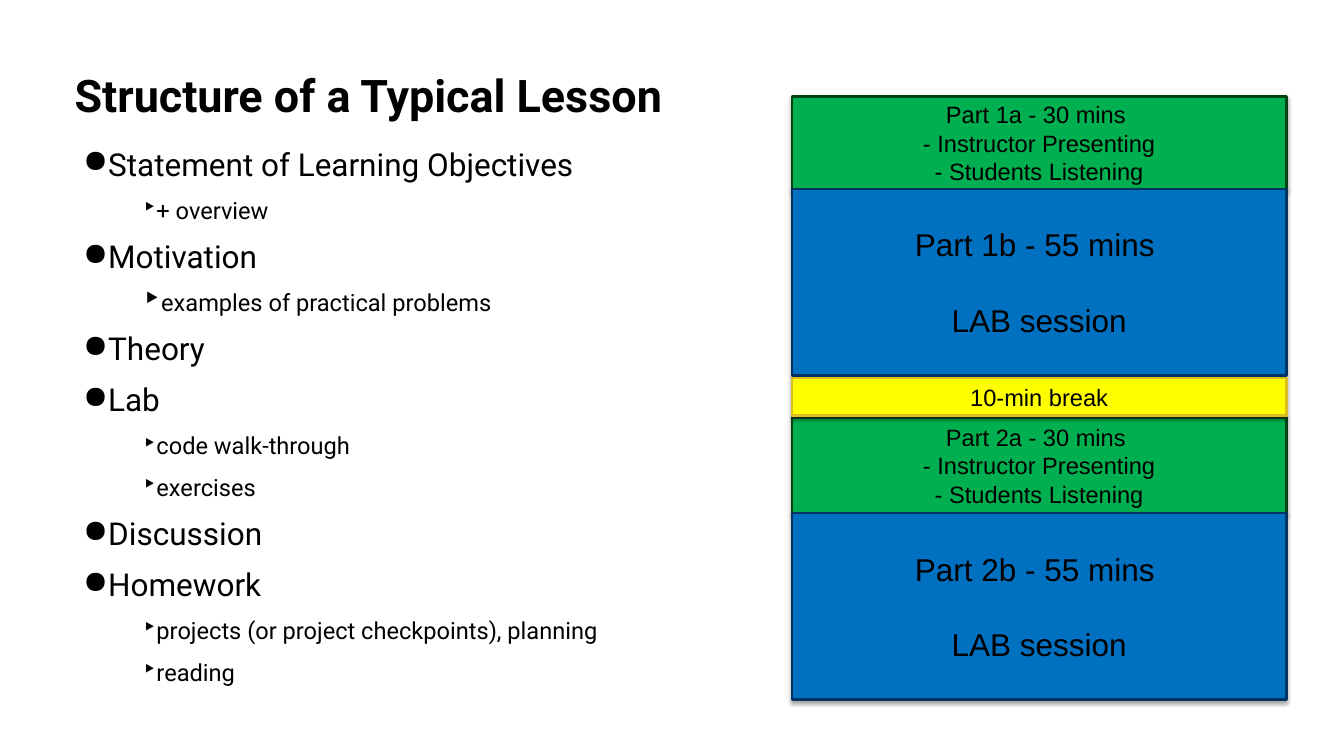
"""Build a slide that outlines a typical lesson beside its timetable."""
import lxml.etree
import pptx
import pptx.dml.color
import pptx.enum.shapes
import pptx.enum.text
import pptx.oxml
import pptx.oxml.ns
import pptx.util

Pt = pptx.util.Pt
RGBColor = pptx.dml.color.RGBColor
ALIGN = pptx.enum.text.PP_ALIGN
ANCHOR = pptx.enum.text.MSO_ANCHOR
qn = pptx.oxml.ns.qn

BLACK = RGBColor(0x00, 0x00, 0x00)
GREEN = RGBColor(0x00, 0xB0, 0x50)
DARK_GREEN = RGBColor(0x00, 0x44, 0x16)
BLUE = RGBColor(0x00, 0x70, 0xC0)
DARK_BLUE = RGBColor(0x01, 0x32, 0x60)
YELLOW = RGBColor(0xFF, 0xFF, 0x00)
DARK_YELLOW = RGBColor(0xDC, 0xBD, 0x23)

BLOCK_LEFT, BLOCK_WIDTH = 603.4, 376.6
LAB_HEIGHT = 142
SHADOW = (
    f'<a:effectLst {pptx.oxml.ns.nsdecls("a")}>'
    '<a:outerShdw blurRad="38100" dist="22860" dir="5400000" rotWithShape="0">'
    '<a:srgbClr val="000000"><a:alpha val="35000"/></a:srgbClr>'
    '</a:outerShdw></a:effectLst>'
)

OUTLINE = [
    ("Statement of Learning Objectives", ["+ overview"]),
    ("Motivation", ["examples of practical problems"]),
    ("Theory", []),
    ("Lab", ["code walk-through", "exercises"]),
    ("Discussion", []),
    ("Homework", ["projects (or project checkpoints), planning", "reading"]),
]


def set_margins(frame, margin):
    """Give all four sides of a text frame the same margin."""
    frame.margin_left = frame.margin_right = Pt(margin)
    frame.margin_top = frame.margin_bottom = Pt(margin)


def style_font(font, name, size):
    """Set a black font of the given name and size."""
    font.name = name
    font.size = Pt(size)
    font.color.rgb = BLACK


def add_title(page, text):
    """Place and format the title placeholder."""
    title = page.shapes.title
    title.left, title.top, title.width, title.height = Pt(49.7), Pt(44.6), Pt(923.8), Pt(56.2)
    frame = title.text_frame
    frame.text = text
    frame.vertical_anchor = ANCHOR.TOP
    set_margins(frame, 7.2)
    para = frame.paragraphs[0]
    para.alignment = ALIGN.LEFT
    style_font(para.runs[0].font, "Roboto", 34.2)
    para.runs[0].font.bold = True


def add_bullet(para, mark, margin, indent, percent):
    """Give a paragraph a hanging bullet."""
    properties = para._p.get_or_add_pPr()
    properties.set("marL", str(Pt(margin)))
    properties.set("indent", str(Pt(indent)))
    size = lxml.etree.SubElement(properties, qn("a:buSzPct"))
    size.set("val", str(percent * 1000))
    lxml.etree.SubElement(properties, qn("a:buChar")).set("char", mark)


def add_outline(page, outline):
    """Write the two-level list of lesson stages."""
    box = page.shapes.add_textbox(Pt(63.4), Pt(110.2), Pt(540), Pt(422.6))
    frame = box.text_frame
    frame.word_wrap = True
    set_margins(frame, 0)
    lines = []
    for stage, details in outline:
        lines.append((stage, 0))
        lines.extend((detail, 1) for detail in details)
    for index, (text, level) in enumerate(lines):
        para = frame.add_paragraph() if index else frame.paragraphs[0]
        para.text = text
        para.level = level
        if level:
            percent = 133 if text.startswith("examples") else 100
            add_bullet(para, "‣", 51.8, -6.5, percent)
        else:
            add_bullet(para, "●", 15.8, -18, 100)
        if index:
            para.space_before = Pt(10)
        style_font(para.runs[0].font, "Roboto", 18 if level else 24)


def add_block(page, top, height, colors, lines, size=18, gap=0):
    """Draw one timetable block with centred lines of text."""
    block = page.shapes.add_shape(
        pptx.enum.shapes.MSO_SHAPE.RECTANGLE,
        Pt(BLOCK_LEFT), Pt(top), Pt(BLOCK_WIDTH), Pt(height))
    fill, line = colors
    block.fill.solid()
    block.fill.fore_color.rgb = fill
    block.line.color.rgb = line
    block.line.width = Pt(2)
    block._element.spPr.append(pptx.oxml.parse_xml(SHADOW))
    frame = block.text_frame
    frame.word_wrap = True
    frame.vertical_anchor = ANCHOR.MIDDLE
    set_margins(frame, 3.6)
    for index, text in enumerate(lines):
        para = frame.add_paragraph() if index else frame.paragraphs[0]
        para.text = text
        para.alignment = ALIGN.CENTER
        if index:
            para.space_before = Pt(gap)
        style_font(para.runs[0].font, "Arial", size)


def add_part(page, number, top, lecture_height):
    """Draw the lecture and lab blocks of one part of the lesson."""
    lecture = [f"Part {number}a - 30 mins ", "- Instructor Presenting", "- Students Listening"]
    lab = [f"Part {number}b - 55 mins ", "LAB session"]
    add_block(page, top, lecture_height, (GREEN, DARK_GREEN), lecture)
    add_block(page, top + lecture_height, LAB_HEIGHT, (BLUE, DARK_BLUE), lab, 24, 29)


def main():
    """Build the deck and save it."""
    deck = pptx.Presentation()
    deck.slide_width, deck.slide_height = Pt(1024), Pt(575.3)
    page = deck.slides.add_slide(deck.slide_layouts.get_by_name("Title Only"))
    add_outline(page, OUTLINE)
    add_title(page, "Structure of a Typical Lesson")
    add_part(page, 1, 73.4, 70.6)
    add_part(page, 2, 318.2, 72.8)
    add_block(page, 288, 28.8, (YELLOW, DARK_YELLOW), ["10-min break"])
    deck.save("out.pptx")


if __name__ == "__main__":
    main()
